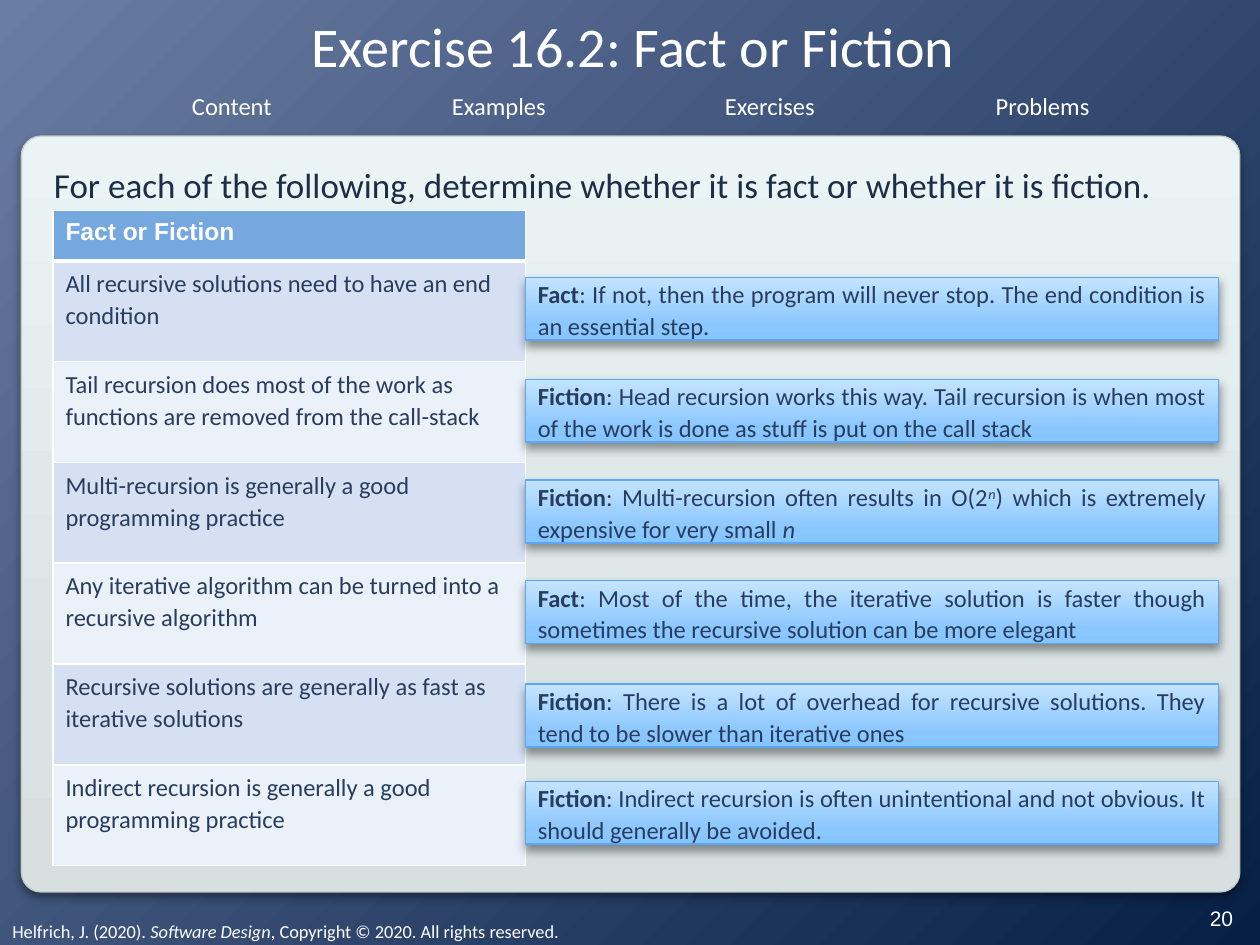
from dataclasses import dataclass

from lxml import etree
from pptx import Presentation
from pptx.dml.color import RGBColor
from pptx.enum.shapes import MSO_SHAPE
from pptx.enum.text import MSO_ANCHOR, PP_ALIGN
from pptx.oxml.ns import qn
from pptx.util import Inches, Pt

LEFT, CENTER, JUSTIFY = PP_ALIGN.LEFT, PP_ALIGN.CENTER, PP_ALIGN.JUSTIFY
TOP, MIDDLE = MSO_ANCHOR.TOP, MSO_ANCHOR.MIDDLE
RECTANGLE, ROUNDED = MSO_SHAPE.RECTANGLE, MSO_SHAPE.ROUNDED_RECTANGLE

# Content: a text is a list of (words, style), style being "", "b", "i" or "sup"
TITLE = "Exercise 16.2: Fact or Fiction"
TABS = [("Content", 1.42, 0.84), ("Examples", 3.48, 0.96),
        ("Exercises", 5.65, 0.92), ("Problems", 7.8, 0.95)]
PROMPT = "For each of the following, determine whether it is fact or whether it is fiction."
TABLE_HEADER = "Fact or Fiction"
STATEMENTS = [
    "All recursive solutions need to have an end condition",
    "Tail recursion does most of the work as functions are removed from the call-stack ",
    "Multi-recursion is generally a good programming practice",
    "Any iterative algorithm can be turned into a recursive algorithm",
    "Recursive solutions are generally as fast as iterative solutions",
    "Indirect recursion is generally a good programming practice",
]
ANSWERS = [
    (2.2, [("Fact", "b"), (": If not, then the program will never stop. The end condition "
                           "is an essential step.", "")]),
    (3.01, [("Fiction", "b"), (": Head recursion works this way. Tail recursion is when most "
                               "of the work is done as stuff is put on the call stack", "")]),
    (3.81, [("Fiction", "b"), (": Multi-recursion often results in O(2", ""), ("n", "sup"),
            (") which is extremely expensive for very small ", ""), ("n", "i")]),
    (4.61, [("Fact", "b"), (": Most of the time, the iterative solution is faster though "
                            "sometimes the recursive solution can be more elegant", "")]),
    (5.43, [("Fiction", "b"), (": There is a lot of overhead for recursive solutions. They "
                               "tend to be slower than iterative ones", "")]),
    (6.2, [("Fiction", "b"), (": Indirect recursion is often unintentional and not obvious. "
                              "It should generally be avoided.", "")]),
]
FOOTER = [("Helfrich, J. (2020). ", ""), ("Software Design", "i"),
          (", Copyright © 2020. All rights reserved.", "")]
PAGE_NUMBER = "20"


@dataclass(frozen=True)
class Theme:
    font: str = "Calibri"
    alt_font: str = "Arial"
    white: str = "FFFFFF"
    ink: str = "283D5E"
    prompt_ink: str = "1D2D46"
    header: str = "76A8E0"
    bands: tuple = ("D5E1F3", "EBF1F9")
    backdrop: tuple = ((0, "6A7DA4"), (100, "071F45"))
    panel: tuple = ((0, "D7DFDF"), (25, "DAE3E3"), (100, "EBF4F4"))
    panel_line: str = "C1C9C9"
    answer: tuple = ((0, "87C5FF"), (25, "8BC7FF"), (100, "C4E4FF"))
    answer_line: str = "5BA6FA"
    title_size: float = 32
    prompt_size: float = 20
    text_size: float = 14
    page_size: float = 12
    footer_size: float = 10.5
    spacing: float = 1.07


THEME = Theme()


def add_node(parent, tag, **attributes):
    return etree.SubElement(parent, qn(tag), {k: str(v) for k, v in attributes.items()})


def set_gradient(fill, owner, stops, radial=False):
    """Fill upwards, or outwards from the top left corner."""
    fill.gradient()
    gradient = next(owner.iter(qn("a:gradFill")))
    for child in list(gradient):
        gradient.remove(child)
    stop_list = add_node(gradient, "a:gsLst")
    for position, color in stops:
        stop = add_node(stop_list, "a:gs", pos=position * 1000)
        add_node(stop, "a:srgbClr", val=color)
    if radial:
        path = add_node(gradient, "a:path", path="circle")
        add_node(path, "a:fillToRect", r=100000, b=100000)
    else:
        add_node(gradient, "a:lin", ang=270 * 60000, scaled=0)


def write(frame, runs, size, color, font=THEME.font, align=LEFT, anchor=TOP, spacing=None):
    frame.vertical_anchor = anchor
    paragraph = frame.paragraphs[0]
    paragraph.alignment = align
    if spacing:
        paragraph.line_spacing = spacing
    for words, style in runs:
        run = paragraph.add_run()
        run.text = words
        run.font.name, run.font.size = font, Pt(size)
        run.font.color.rgb = RGBColor.from_string(color)
        run.font.bold = style == "b"
        run.font.italic = style in ("i", "sup")
        if style == "sup":
            run.font._element.set("baseline", "30000")


def add_text(slide, box, runs, size, color=THEME.white, wrap=True, margin=None, **options):
    frame = slide.shapes.add_textbox(*map(Inches, box)).text_frame
    frame.word_wrap = wrap
    if margin is not None:
        frame.margin_left = frame.margin_right = Inches(margin)
        frame.margin_top = frame.margin_bottom = Inches(margin)
    write(frame, runs, size, color, **options)


def add_card(slide, kind, box, stops, line):
    shape = slide.shapes.add_shape(kind, *map(Inches, box))
    set_gradient(shape.fill, shape._element, stops)
    shape.line.color.rgb = RGBColor.from_string(line)
    shape.line.width = Pt(0.75)
    shape.shadow.inherit = False
    effects = shape._element.spPr.find(qn("a:effectLst"))
    shadow = add_node(effects, "a:outerShdw", blurRad=Pt(5.2), dist=Pt(3),
                      dir=90 * 60000, algn="ctr", rotWithShape=0)
    add_node(add_node(shadow, "a:srgbClr", val="000000"), "a:alpha", val=40000)
    return shape


def fill_cell(cell, color, bottom_width):
    properties = cell._tc.get_or_add_tcPr()
    for side, width in (("L", 1), ("R", 1), ("T", 1), ("B", bottom_width)):
        border = add_node(properties, f"a:ln{side}", w=Pt(width))
        add_node(add_node(border, "a:solidFill"), "a:srgbClr", val=THEME.white)
    cell.fill.solid()
    cell.fill.fore_color.rgb = RGBColor.from_string(color)


presentation = Presentation()
presentation.slide_width, presentation.slide_height = Inches(10), Inches(7.5)
slide = presentation.slides.add_slide(presentation.slide_layouts[6])

# Backdrop and panel
set_gradient(slide.background.fill, slide._element, THEME.backdrop, radial=True)
panel = add_card(slide, ROUNDED, (0.17, 1.08, 9.67, 6), THEME.panel, THEME.panel_line)
panel.adjustments[0] = 0.026

# Title, tabs, prompt and footer
add_text(slide, (0.22, 0.11, 9.61, 0.5), [(TITLE, "")], THEME.title_size,
         margin=0, align=CENTER, anchor=MIDDLE)
for name, left, width in TABS:
    add_text(slide, (left, 0.67, width, 0.34), [(name, "")], THEME.text_size,
             wrap=False, align=CENTER)
add_text(slide, (0.33, 1.25, 9.33, 0.42), [(PROMPT, "")], THEME.prompt_size, THEME.prompt_ink)
add_text(slide, (0, 7.25, 9, 0.29), FOOTER, THEME.footer_size)
add_text(slide, (9.36, 7.08, 0.67, 0.42), [(PAGE_NUMBER, "")], THEME.page_size,
         font=THEME.alt_font, align=CENTER, anchor=MIDDLE)

# Statement table
row_heights = [0.4] + [0.8] * len(STATEMENTS)
table = slide.shapes.add_table(len(row_heights), 1, Inches(0.42), Inches(1.67),
                               Inches(3.75), Inches(sum(row_heights))).table
for row, height in zip(table.rows, row_heights):
    row.height = Inches(height)
header = table.cell(0, 0)
fill_cell(header, THEME.header, 3)
write(header.text_frame, [(TABLE_HEADER, "b")], THEME.text_size, THEME.white,
      font=THEME.alt_font, spacing=THEME.spacing)
for index, statement in enumerate(STATEMENTS):
    cell = table.cell(index + 1, 0)
    fill_cell(cell, THEME.bands[index % 2], 1)
    write(cell.text_frame, [(statement, "")], THEME.text_size, THEME.ink,
          spacing=THEME.spacing)

# Answer boxes
for top, runs in ANSWERS:
    answer = add_card(slide, RECTANGLE, (4.17, top, 5.5, 0.5), THEME.answer, THEME.answer_line)
    answer.text_frame.word_wrap = True
    answer.text_frame.margin_top = answer.text_frame.margin_bottom = 0
    write(answer.text_frame, runs, THEME.text_size, THEME.ink, align=JUSTIFY,
          anchor=MIDDLE, spacing=THEME.spacing)

presentation.save("out.pptx")
